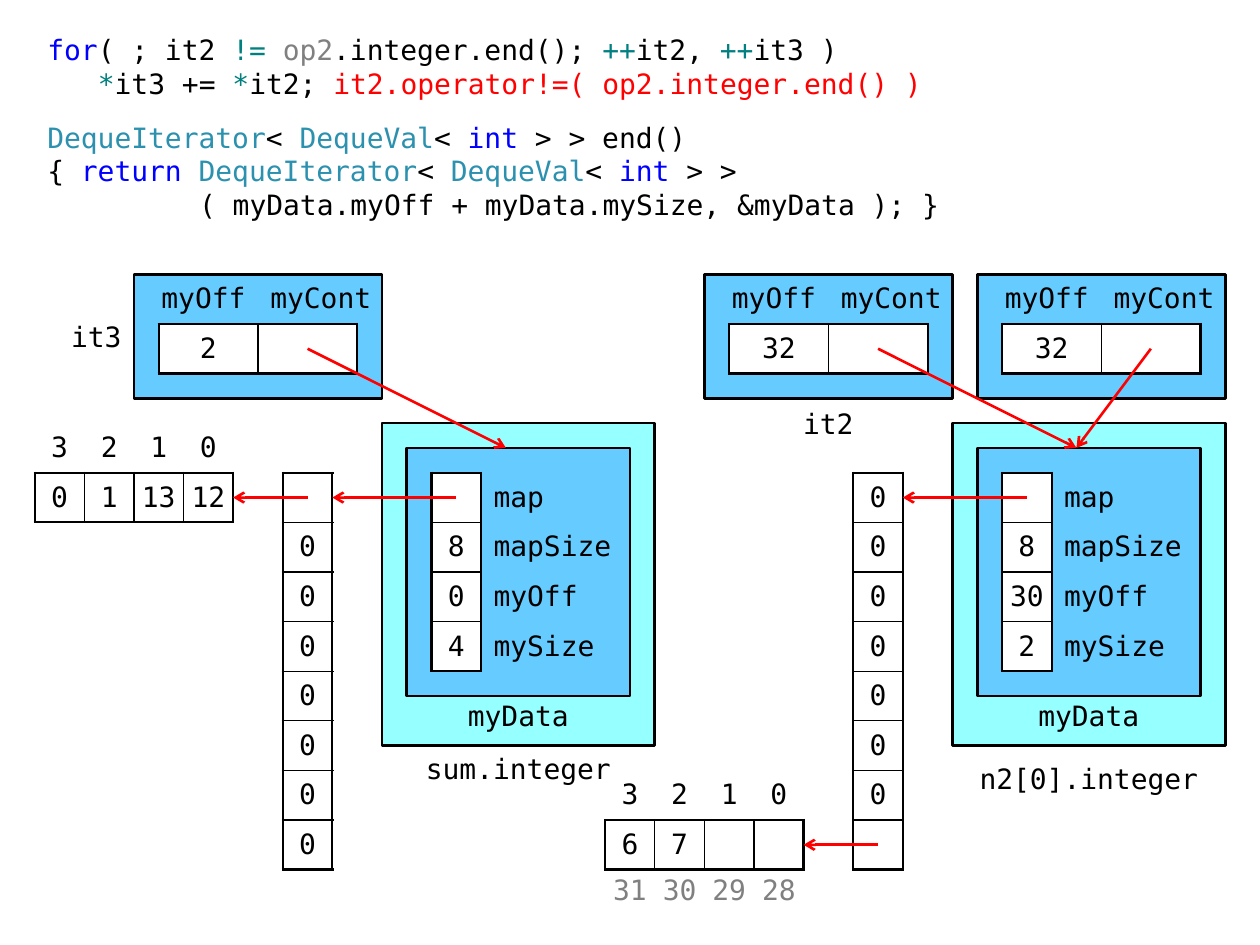
"""Build the slide that shows how deque iterators reach their containers."""
from dataclasses import dataclass

from lxml.etree import SubElement
from pptx import Presentation
from pptx.dml.color import RGBColor
from pptx.enum.shapes import MSO_CONNECTOR, MSO_SHAPE
from pptx.enum.text import MSO_ANCHOR, PP_ALIGN
from pptx.oxml.ns import qn
from pptx.util import Cm, Pt

FONT = "DejaVu Sans Mono"
COLORS = {
    "text": "000000", "keyword": "0000FF", "operator": "008080", "muted": "808080",
    "type": "2B91AF", "accent": "FF0000", "cell": "FFFFFF", "outer": "96FFFF", "inner": "66CCFF",
}
TOP = 5.53
MAP_TOP = TOP + 4
HALF = 11.5


@dataclass
class Grid:
    left: float
    top: float
    widths: list[float]
    rows: list[list[str]]
    boxed_rows: range
    boxed_columns: range
    inner_line: float = 0.75

    def boxed(self, row: int, column: int) -> bool:
        return row in self.boxed_rows and column in self.boxed_columns


@dataclass
class Label:
    left: float
    top: float
    width: float
    text: str
    align: PP_ALIGN = PP_ALIGN.CENTER
    anchor: MSO_ANCHOR = MSO_ANCHOR.TOP
    height: float = 1
    inset_top: float = 0.13


@dataclass
class Arrow:
    start: tuple[float, float]
    end: tuple[float, float]


@dataclass
class Container:
    shift: float
    offset: str
    size: str
    slots: list[str]


@dataclass
class CodeLine:
    spans: list[tuple[str, str]]
    indent: float = 0
    space_before: float = 0


def color(name: str) -> RGBColor:
    return RGBColor.from_string(COLORS[name])


def format_span(span, name: str = "text") -> None:
    span.font.name, span.font.size = FONT, Pt(16)
    span.font.color.rgb = color(name)


def add_code(box, lines: list[CodeLine]) -> None:
    box.left, box.top, box.width, box.height = Cm(0.7), Cm(0.53), Cm(18.5), Cm(4)
    frame = box.text_frame
    frame.vertical_anchor = MSO_ANCHOR.TOP
    frame.text = "\n".join("" for _ in lines)
    for para, line in zip(frame.paragraphs, lines):
        para.alignment = PP_ALIGN.LEFT
        para.space_before, para.space_after = Pt(line.space_before), Pt(0)
        properties = para._p.get_or_add_pPr()
        properties.set("marL", str(Cm(line.indent)))
        properties.set("indent", "0")
        for text, name in line.spans:
            span = para.add_run()
            span.text = text
            format_span(span, name)


def add_box(page, left: float, top: float, width: float, height: float, fill: str) -> None:
    box = page.shapes.add_shape(MSO_SHAPE.FLOWCHART_PROCESS, Cm(left), Cm(top), Cm(width), Cm(height))
    box.shadow.inherit = False
    box.fill.solid()
    box.fill.fore_color.rgb = color(fill)
    box.line.color.rgb, box.line.width = color("text"), Pt(1.5)


def add_label(page, label: Label) -> None:
    box = page.shapes.add_textbox(Cm(label.left), Cm(label.top), Cm(label.width), Cm(label.height))
    frame = box.text_frame
    frame.word_wrap = True
    frame.vertical_anchor = label.anchor
    frame.margin_left = Cm(0.25 if label.align == PP_ALIGN.LEFT else 0)
    frame.margin_right = Cm(0.25 if label.align == PP_ALIGN.RIGHT else 0)
    frame.margin_top, frame.margin_bottom = Cm(label.inset_top), Cm(0)
    frame.text = label.text
    frame.paragraphs[0].alignment = label.align
    format_span(frame.paragraphs[0].runs[0])


def add_borders(cell, grid: Grid, row: int, column: int) -> None:
    properties = cell._tc.get_or_add_tcPr()
    neighbours = {"lnL": (row, column - 1), "lnR": (row, column + 1),
                  "lnT": (row - 1, column), "lnB": (row + 1, column)}
    for tag, neighbour in neighbours.items():
        sides = grid.boxed(row, column) + grid.boxed(*neighbour)
        line = SubElement(properties, qn(f"a:{tag}"))
        if sides:
            line.set("w", str(Pt(1.5 if sides == 1 else grid.inner_line)))
            fill = SubElement(line, qn("a:solidFill"))
            SubElement(fill, qn("a:srgbClr")).set("val", COLORS["text"])
        else:
            SubElement(line, qn("a:noFill"))


def add_grid(page, grid: Grid) -> None:
    count = len(grid.rows)
    table = page.shapes.add_table(count, len(grid.widths), Cm(grid.left), Cm(grid.top),
                                  Cm(sum(grid.widths)), Cm(count)).table
    table.first_row = table.horz_banding = False
    for column, width in enumerate(grid.widths):
        table.columns[column].width = Cm(width)
    for row, texts in enumerate(grid.rows):
        table.rows[row].height = Cm(1)
        below = row >= grid.boxed_rows.stop
        for column, text in enumerate(texts):
            cell = table.cell(row, column)
            beside = column not in grid.boxed_columns
            cell.vertical_anchor = MSO_ANCHOR.TOP if below else MSO_ANCHOR.MIDDLE
            cell.margin_left = cell.margin_right = Cm(0.25 if beside else 0.1)
            cell.margin_top = cell.margin_bottom = Cm(0.1)
            add_borders(cell, grid, row, column)
            if grid.boxed(row, column):
                cell.fill.solid()
                cell.fill.fore_color.rgb = color("cell")
            else:
                cell.fill.background()
            cell.text_frame.text = text
            para = cell.text_frame.paragraphs[0]
            para.alignment = PP_ALIGN.LEFT if beside else PP_ALIGN.CENTER
            for span in para.runs:
                format_span(span, "muted" if below else "text")


def add_arrow(page, arrow: Arrow) -> None:
    ends = [Cm(value) for value in (*arrow.start, *arrow.end)]
    line = page.shapes.add_connector(MSO_CONNECTOR.STRAIGHT, *ends)
    line.line.color.rgb, line.line.width = color("accent"), Pt(1.5)
    SubElement(line.line._get_or_add_ln(), qn("a:tailEnd")).set("type", "arrow")
    SubElement(line._element.spPr, qn("a:effectLst"))


def add_iterator(page, left: float, offset: str) -> None:
    add_box(page, left, TOP, 5, 2.5, "inner")
    add_grid(page, Grid(left + 0.5, TOP + 1, [2, 2], [[offset, ""]], range(1), range(2)))
    add_label(page, Label(left, TOP, 2.5, "myOff", PP_ALIGN.RIGHT))
    add_label(page, Label(left + 2.5, TOP, 2.5, "myCont", PP_ALIGN.LEFT))


def add_container(page, item: Container) -> None:
    shift = item.shift
    add_box(page, 7.7 + shift, TOP + 3, 5.5, 6.5, "outer")
    add_box(page, 8.2 + shift, TOP + 3.5, 4.5, 5, "inner")
    fields = [["", "map"], ["8", "mapSize"], [item.offset, "myOff"], [item.size, "mySize"]]
    add_grid(page, Grid(8.7 + shift, MAP_TOP, [1, 3], fields, range(4), range(1), 1))
    add_grid(page, Grid(5.7 + shift, MAP_TOP, [1], [[slot] for slot in item.slots], range(8), range(1)))
    add_label(page, Label(9.2 + shift, TOP + 8.5, 2.5, "myData", inset_top=0.05))
    add_arrow(page, Arrow((9.2 + shift, MAP_TOP + 0.5), (6.7 + shift, MAP_TOP + 0.5)))


CODE = [
    CodeLine([("for", "keyword"), ("( ; it2 ", "text"), ("!= ", "operator"), ("op2", "muted"),
              (".integer.end(); ", "text"), ("++", "operator"), ("it2, ", "text"),
              ("++", "operator"), ("it3 )", "text")]),
    CodeLine([("*", "operator"), ("it3 += ", "text"), ("*", "operator"), ("it2; ", "text"),
              ("it2.operator!=( op2.integer.end() )", "accent")], indent=1.02),
    CodeLine([("DequeIterator", "type"), ("< ", "text"), ("DequeVal", "type"), ("< ", "text"),
              ("int", "keyword"), (" > > end()", "text")], space_before=11.7),
    CodeLine([("{ ", "text"), ("return ", "keyword"), ("DequeIterator", "type"), ("< ", "text"),
              ("DequeVal", "type"), ("< ", "text"), ("int", "keyword"), (" > >", "text")]),
    CodeLine([("( myData.myOff + myData.mySize, &myData ); }", "text")], indent=3.06),
]
CONTAINERS = [Container(0, "0", "4", [""] + ["0"] * 7), Container(HALF, "30", "2", ["0"] * 7 + [""])]
ITERATORS = [(2.7, "2"), (2.7 + HALF, "32"), (19.7, "32")]
BLOCKS = [
    Grid(0.7, TOP + 3, [1] * 4, [list("3210"), ["0", "1", "13", "12"]], range(1, 2), range(4)),
    Grid(0.7 + HALF, TOP + 10, [1] * 4, [list("3210"), ["6", "7", "", ""], ["31", "30", "29", "28"]],
         range(1, 2), range(4)),
]
LABELS = [
    Label(8.2, TOP + 9.5, 4.5, "sum.integer"),
    Label(19.2, TOP + 9.5, 5.5, "n2[0].integer", anchor=MSO_ANCHOR.BOTTOM),
    Label(1.2, TOP + 0.5, 1.5, "it3", PP_ALIGN.RIGHT, MSO_ANCHOR.MIDDLE, 1.5, 0),
    Label(15.7, TOP + 2.5, 2, "it2", anchor=MSO_ANCHOR.MIDDLE, inset_top=0),
]
ARROWS = [
    Arrow((6.2, MAP_TOP + 0.5), (4.7, MAP_TOP + 0.5)),
    Arrow((6.2 + HALF, MAP_TOP + 7.5), (4.7 + HALF, MAP_TOP + 7.5)),
    Arrow((6.2, TOP + 1.5), (10.2, TOP + 3.5)),
    Arrow((6.2 + HALF, TOP + 1.5), (10.2 + HALF, TOP + 3.5)),
    Arrow((23.2, TOP + 1.5), (10.2 + HALF, TOP + 3.5)),
]


def main() -> None:
    deck = Presentation()
    deck.slide_width, deck.slide_height = Cm(25.4), Cm(19.05)
    page = deck.slides.add_slide(deck.slide_layouts.get_by_name("Section Header"))
    title = page.shapes.title._element
    title.getparent().remove(title)
    add_code(page.placeholders[1], CODE)
    for item in CONTAINERS:
        add_container(page, item)
    for left, offset in ITERATORS:
        add_iterator(page, left, offset)
    for draw, items in ((add_grid, BLOCKS), (add_label, LABELS), (add_arrow, ARROWS)):
        for item in items:
            draw(page, item)
    deck.save("out.pptx")


if __name__ == "__main__":
    main()
